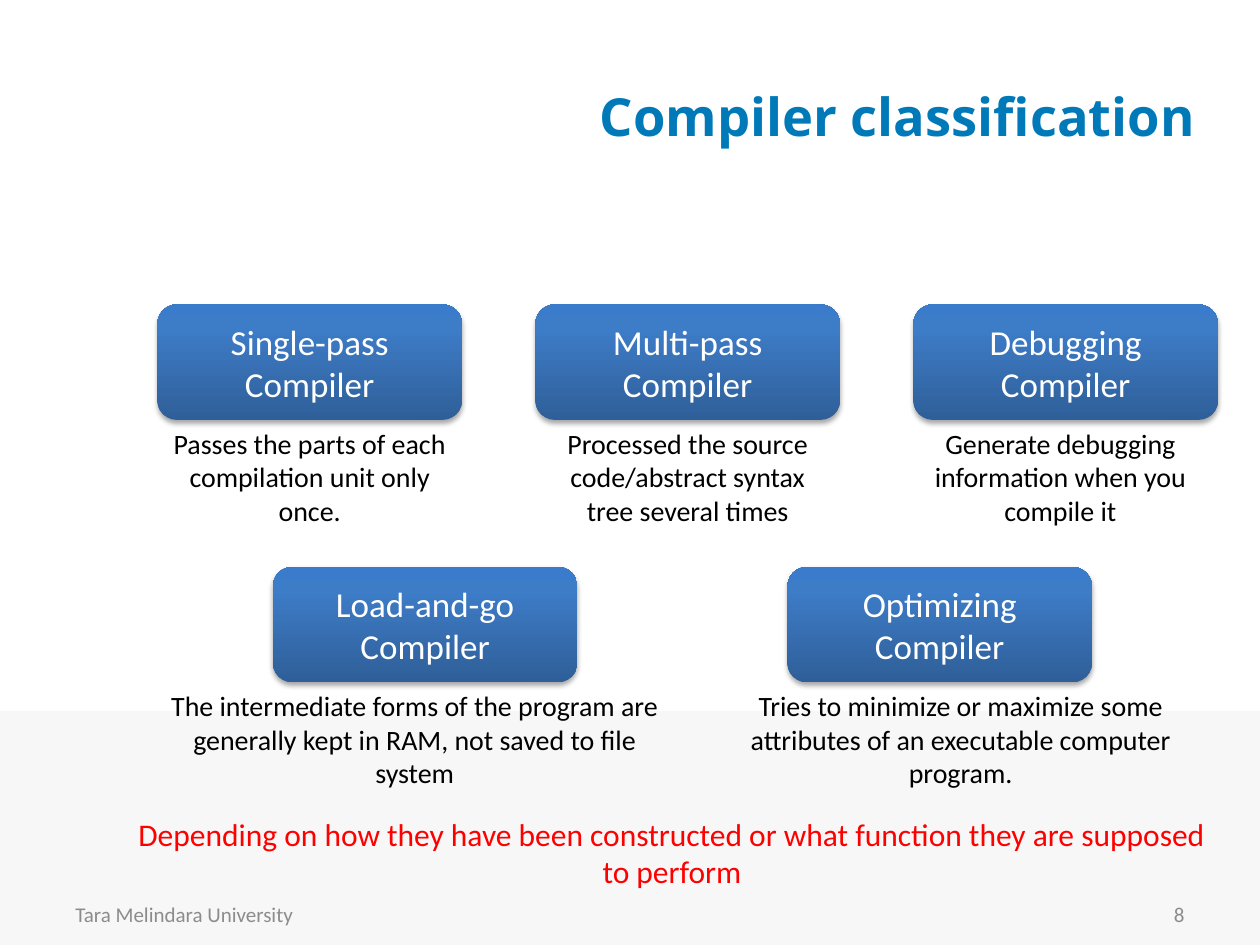
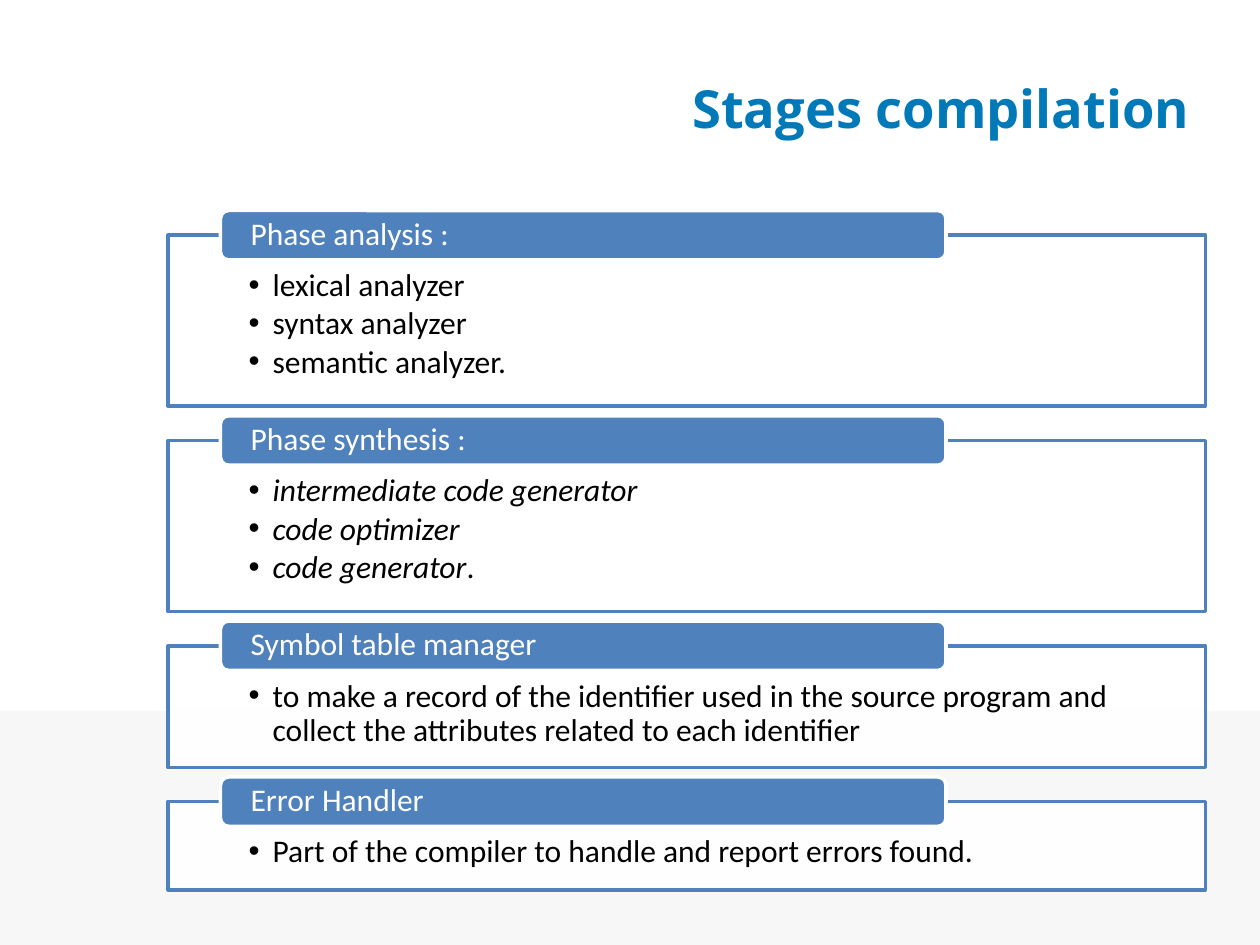
from copy import deepcopy

from lxml.etree import SubElement
from pptx import Presentation
from pptx.dml.color import RGBColor
from pptx.enum.shapes import MSO_SHAPE
from pptx.enum.text import MSO_ANCHOR, PP_ALIGN
from pptx.oxml.ns import qn
from pptx.util import Inches, Pt

# Shared look
WHITE = RGBColor(0xFF, 0xFF, 0xFF)
BLACK = RGBColor(0x00, 0x00, 0x00)
RED = RGBColor(0xFF, 0x00, 0x00)
GREY = RGBColor(0x8C, 0x8C, 0x8C)
BAND = RGBColor(0xF7, 0xF7, 0xF7)
TITLE_BLUE = RGBColor(0x00, 0x79, 0xB8)
PANEL_BLUE = RGBColor(0x4F, 0x81, 0xBD)
BUTTON_STOPS = [
    (0, RGBColor(0x2F, 0x5F, 0x99)),
    (0.8, RGBColor(0x3D, 0x7C, 0xC7)),
    (1, RGBColor(0x3A, 0x7C, 0xCB)),
]
TITLE_FORMAT = {"name": "Open Sans", "size": Pt(30), "bold": True}

# The slide is a grid of 120 columns by 90 rows
deck = Presentation()
deck.slide_width, deck.slide_height = Inches(10), Inches(7.5)
CELL = deck.slide_width / 120


def add_box(page, area, preset=None, fill=None, line=None):
    """Place a text box or preset shape on a grid area (column, row, columns, rows)."""
    area = [round(share * CELL) for share in area]
    if preset is None:
        return page.shapes.add_textbox(*area)
    box = page.shapes.add_shape(preset, *area)
    box.shadow.inherit = False
    if fill is not None:
        box.fill.solid()
        box.fill.fore_color.rgb = fill
    if line is None:
        box.line.fill.background()
    else:
        box.line.color.rgb = line
        box.line.width = Pt(2)
    return box


def write(box, lines, color, size=18, align=PP_ALIGN.CENTER,
          anchor=MSO_ANCHOR.TOP, insets=None, para_format=None, font_format=None):
    """Fill a box; each line is a string or a list of (text, italic) pairs."""
    frame = box.text_frame
    frame.word_wrap = True
    frame.vertical_anchor = anchor
    for side, inset in (insets or {}).items():
        setattr(frame, f"margin_{side}", Inches(inset))
    for index, line in enumerate(lines):
        para = frame.add_paragraph() if index else frame.paragraphs[0]
        for key, value in {"alignment": align, **(para_format or {})}.items():
            setattr(para, key, value)
        for text, italic in [(line, False)] if isinstance(line, str) else line:
            span = para.add_run()
            span.text = text
            looks = {"name": "Calibri", "size": Pt(size), "italic": italic}
            for key, value in {**looks, **(font_format or {})}.items():
                setattr(span.font, key, value)
            span.font.color.rgb = color


# Both slides: lower band and title
pages = []
for title, area in [
    ("Compiler classification", (20, 6, 95, 10)),
    ("Stages compilation", (24.5, 5, 90, 10.4)),
]:
    page = deck.slides.add_slide(deck.slide_layouts[6])
    add_box(page, (0, 67.7, 120, 22.3), MSO_SHAPE.RECTANGLE, BAND)
    write(add_box(page, area), [title], TITLE_BLUE, align=PP_ALIGN.RIGHT,
          anchor=MSO_ANCHOR.MIDDLE, font_format=TITLE_FORMAT)
    pages.append(page)
classification, stages = pages

# Compiler kinds: name, button column and row, caption area
kinds = [
    ("Single-pass Compiler", 15, 29, (14, 40, 31, 11),
     "Passes the parts of each compilation unit only once."),
    ("Multi-pass Compiler", 51, 29, (51, 40, 29, 11),
     "Processed the source code/abstract syntax tree several times"),
    ("Debugging Compiler", 87, 29, (86, 40, 30, 11),
     "Generate debugging information when you compile it"),
    ("Load-and-go Compiler", 26, 54, (15, 65, 49, 11),
     "The intermediate forms of the program are generally kept in RAM, "
     "not saved to file system"),
    ("Optimizing Compiler", 75, 54, (68, 65, 47, 11),
     "Tries to minimize or maximize some attributes of an executable "
     "computer program."),
]
for name, column, row, caption_area, caption in kinds:
    button = add_box(classification, (column, row, 29, 11), MSO_SHAPE.ROUNDED_RECTANGLE)
    button.fill.gradient()
    button.fill.gradient_angle = 90
    stop_list = button.element.spPr.find(".//" + qn("a:gsLst"))
    stop_list.append(deepcopy(stop_list[-1]))
    for stop, (position, color) in zip(button.fill.gradient_stops, BUTTON_STOPS):
        stop.position = position
        stop.color.rgb = color
    # Soft shadow straight below the button
    effects = button.element.spPr.find(qn("a:effectLst"))
    shadow = SubElement(effects, qn("a:outerShdw"), blurRad=str(Pt(3.1)),
                        dist=str(Pt(1.8)), dir="5400000", rotWithShape="0")
    shade = SubElement(shadow, qn("a:srgbClr"), val="000000")
    SubElement(shade, qn("a:alpha"), val="35000")
    write(button, [name], WHITE, 20, anchor=MSO_ANCHOR.MIDDLE)
    write(add_box(classification, caption_area), [caption], BLACK, 16)

# Conclusion and footer
write(add_box(classification, (11, 77, 106, 8.5)),
      ["Depending on how they have been constructed or what function "
       "they are supposed to perform"], RED)
for text, area, align in [
    ("Tara Melindara University", (6, 84.7, 28, 4.8), PP_ALIGN.LEFT),
    ("8", (86, 84.7, 28, 4.8), PP_ALIGN.RIGHT),
]:
    write(add_box(classification, area), [text], GREY, 12, align, MSO_ANCHOR.MIDDLE)

# Stage panels, stacked with equal gaps: heading, rows, items
panels = [
    ("Phase analysis :", 16.3,
     ["lexical analyzer", "syntax analyzer", "semantic analyzer."]),
    ("Phase synthesis :", 16.3,
     [[("intermediate code generator", True)], [("code optimizer", True)],
      [("code generator", True), (".", False)]]),
    ("Symbol table manager", 11.6,
     ["to make a record of the identifier used in the source program and "
      "collect the attributes related to each identifier"]),
    ("Error Handler", 8.4,
     ["Part of the compiler to handle and report errors found."]),
]
PANEL_GAP = 3.25
HEADING_RISE = 2.35
top = 22.4
for heading, rows, items in panels:
    panel = add_box(stages, (16, top, 98.8, rows), MSO_SHAPE.RECTANGLE, WHITE, PANEL_BLUE)
    tint = panel.element.spPr.find(qn("a:solidFill"))[0]
    SubElement(tint, qn("a:alpha"), val="90000")
    write(panel, items, BLACK, align=PP_ALIGN.LEFT,
          insets={"left": 0.64, "top": 0.27, "right": 0.64, "bottom": 0.14},
          para_format={"line_spacing": 0.9, "space_after": Pt(2.5)})
    for para in panel.text_frame.paragraphs:
        props = para._p.get_or_add_pPr()
        props.set("marL", str(Inches(0.19)))
        props.set("indent", str(-Inches(0.19)))
        SubElement(props, qn("a:buFont"), typeface="Arial")
        SubElement(props, qn("a:buChar"), char="•")
    tab = add_box(stages, (21, top - HEADING_RISE, 69.1, 4.7),
                  MSO_SHAPE.ROUNDED_RECTANGLE, PANEL_BLUE, WHITE)
    write(tab, [heading], WHITE, align=PP_ALIGN.LEFT, anchor=MSO_ANCHOR.MIDDLE,
          insets={"left": 0.22, "top": 0, "right": 0.22, "bottom": 0},
          para_format={"line_spacing": 0.9})
    top += rows + PANEL_GAP

deck.save("out.pptx")
